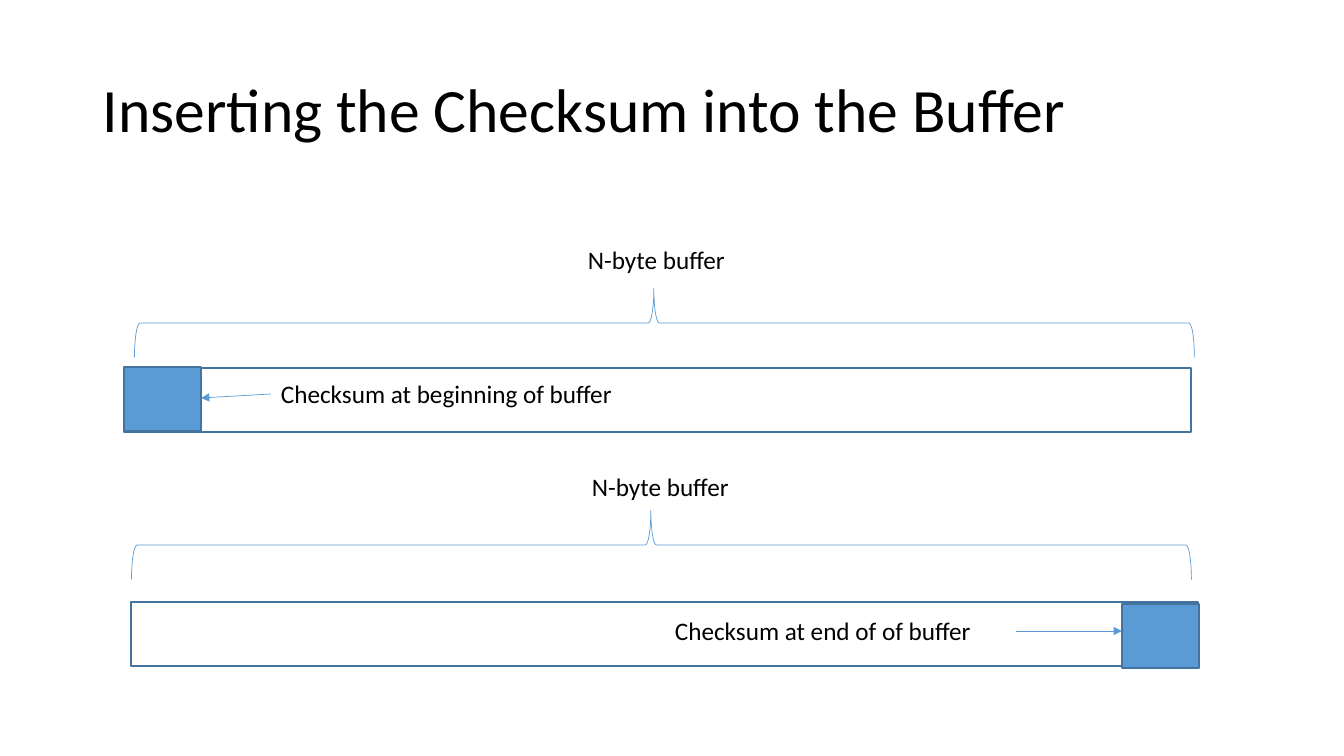
"""Build a slide showing a checksum at the beginning or the end of a buffer."""
from dataclasses import dataclass

from lxml import etree
from pptx import Presentation
from pptx.dml.color import RGBColor
from pptx.enum.shapes import MSO_CONNECTOR, MSO_SHAPE
from pptx.enum.text import MSO_ANCHOR
from pptx.oxml.ns import qn
from pptx.util import Pt

PX = 914400 / 100.8
RECTANGLE = MSO_SHAPE.RECTANGLE
BRACE = MSO_SHAPE.RIGHT_BRACE
STRAIGHT = MSO_CONNECTOR.STRAIGHT
MIDDLE = MSO_ANCHOR.MIDDLE


@dataclass(frozen=True)
class Theme:
    font: str = "Calibri"
    ink: RGBColor = RGBColor(0, 0, 0)
    blue: RGBColor = RGBColor(0x5B, 0x9B, 0xD5)
    edge: RGBColor = RGBColor(0x43, 0x73, 0x9E)
    title_size: int = 44
    label_size: int = 18


theme = Theme()
deck = Presentation()
deck.slide_width, deck.slide_height = round(1344 * PX), round(756 * PX)
page = deck.slides.add_slide(deck.slide_layouts[6])


def add_text(words, bounds, size, wrap=False):
    box = page.shapes.add_textbox(*[round(length * PX) for length in bounds])
    box.text_frame.word_wrap = wrap
    para = box.text_frame.paragraphs[0]
    span = para.add_run()
    span.text = words
    span.font.name = theme.font
    span.font.size = Pt(size)
    span.font.color.rgb = theme.ink
    return box


def add_outline(kind, bounds, color, width, fill=None):
    shape = page.shapes.add_shape(kind, *[round(length * PX) for length in bounds])
    shape.shadow.inherit = False
    shape.line.color.rgb = color
    shape.line.width = Pt(width)
    if fill is None:
        shape.fill.background()
    else:
        shape.fill.solid()
        shape.fill.fore_color.rgb = fill
    return shape


title = add_text("Inserting the Checksum into the Buffer", (93, 40, 1159, 146),
                 theme.title_size, wrap=True)
title.text_frame.vertical_anchor = MIDDLE
title.text_frame.paragraphs[0].line_spacing = 0.9

buffers = [
    dict(bar=(124, 368), checksum=(124, 367), brace=(630, -207), size_label=(578, 239),
         note="Checksum at beginning of buffer", note_bounds=(271, 373, 356, 40),
         arrow=(271, 394, 201, 398)),
    dict(bar=(131, 602), checksum=(1122, 604), brace=(627, 15), size_label=(582, 466),
         note="Checksum at end of of buffer", note_bounds=(665, 610, 321, 40),
         arrow=(1016, 631, 1122, 631)),
]

for buffer in buffers:
    add_outline(RECTANGLE, (*buffer["bar"], 1067, 64), theme.edge, 2)
    add_outline(RECTANGLE, (*buffer["checksum"], 77, 64), theme.edge, 1, theme.blue)

    brace = add_outline(BRACE, (*buffer["brace"], 69, 1060), theme.blue, 0.5)
    brace.rotation = 270
    brace.adjustments[0] = 0.08
    brace.adjustments[1] = 0.49

    add_text("N-byte buffer", (*buffer["size_label"], 159, 40), theme.label_size)
    add_text(buffer["note"], buffer["note_bounds"], theme.label_size)

    arrow = page.shapes.add_connector(STRAIGHT, *[round(end * PX) for end in buffer["arrow"]])
    arrow.line.color.rgb = theme.blue
    arrow.line.width = Pt(0.5)
    etree.SubElement(arrow.line._get_or_add_ln(), qn("a:tailEnd"), type="triangle")
    etree.SubElement(arrow._element.spPr, qn("a:effectLst"))

deck.save("out.pptx")
